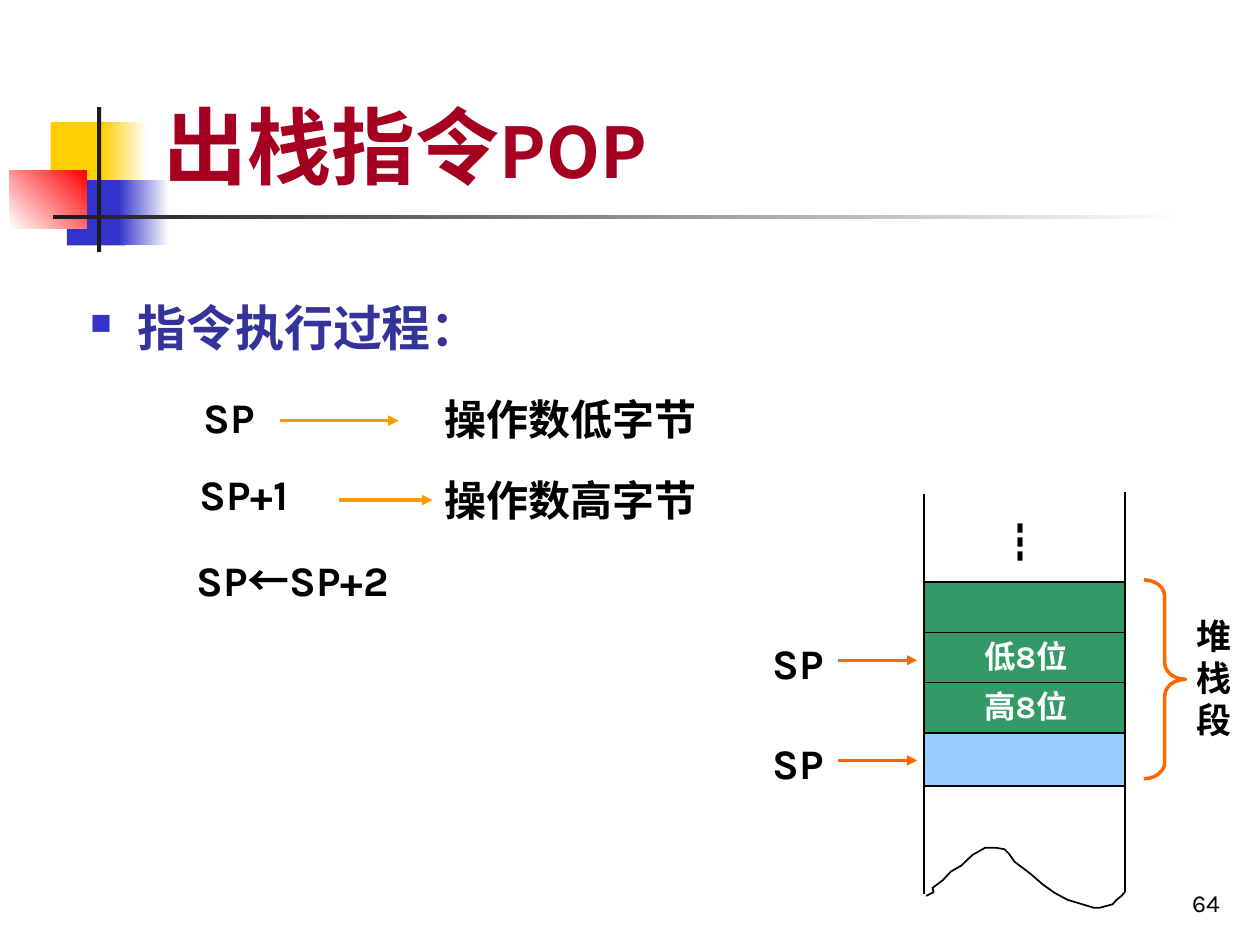
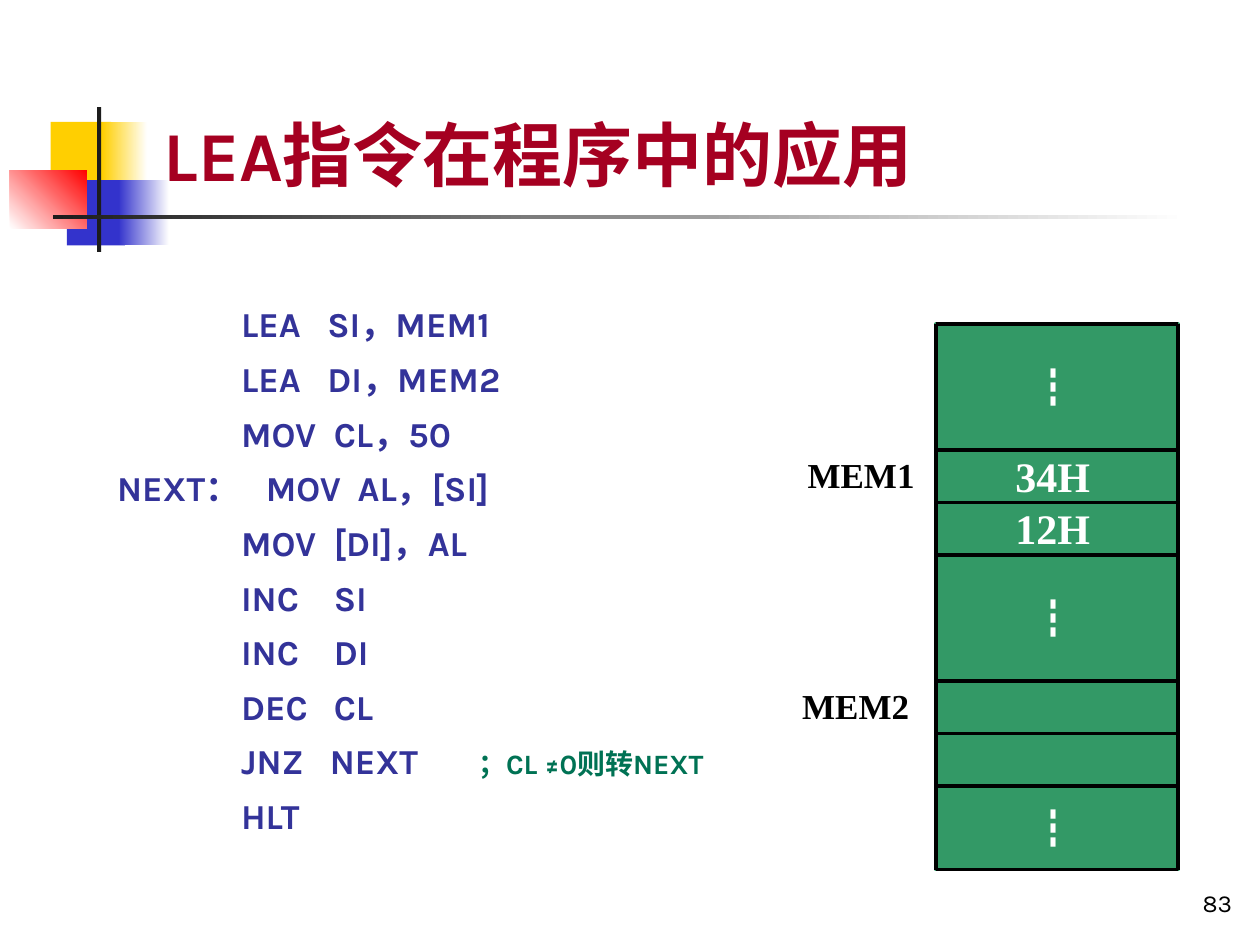
from collections import namedtuple
from itertools import accumulate

from lxml.etree import SubElement
from pptx import Presentation
from pptx.dml.color import RGBColor
from pptx.enum.shapes import MSO_CONNECTOR as LINE, MSO_SHAPE as SHAPE
from pptx.enum.text import MSO_ANCHOR as ANCHOR, MSO_AUTO_SIZE as FIT, PP_ALIGN as ALIGN
from pptx.oxml.ns import qn
from pptx.util import Cm, Pt

BLACK = RGBColor(0x00, 0x00, 0x00)
WHITE = RGBColor(0xFF, 0xFF, 0xFF)
INK = RGBColor(0x1C, 0x1C, 0x1C)
YELLOW = RGBColor(0xFF, 0xCF, 0x01)
BLUE = RGBColor(0x33, 0x33, 0xCC)
RED = RGBColor(0xFF, 0x00, 0x00)
TITLE_RED = RGBColor(0xA5, 0x00, 0x21)
BODY_BLUE = RGBColor(0x33, 0x33, 0x99)
COMMENT_GREEN = RGBColor(0x00, 0x72, 0x54)
CELL_GREEN = RGBColor(0x33, 0x99, 0x66)
CELL_BLUE = RGBColor(0x99, 0xCC, 0xFF)
AMBER = RGBColor(0xFF, 0x99, 0x00)
ORANGE = RGBColor(0xFF, 0x66, 0x00)

KARLA, NOTO, TIMES = "Karla", "Noto Sans CJK SC", "Times New Roman"
DOTS = "┇"

# All lengths are centimetres
Box = namedtuple("Box", "x y w h")


# ---- Shared helpers ----
def style_run(run, font, size, color, bold=True):
    run.font.name = font
    run.font.size = Pt(size)
    run.font.bold = bold
    run.font.color.rgb = color
    SubElement(run._r.get_or_add_rPr(), qn("a:ea")).set("typeface", NOTO)


def add_run(paragraph, words, font, size, color):
    run = paragraph.add_run()
    run.text = words
    style_run(run, font, size, color)


def text_box(slide, box):
    frame = slide.shapes.add_textbox(*map(Cm, box)).text_frame
    frame.word_wrap = True
    return frame


def label(slide, box, words, font=KARLA, size=24, color=BLACK, bold=True):
    frame = text_box(slide, box)
    frame.auto_size = FIT.SHAPE_TO_FIT_TEXT
    frame.text = words
    style_run(frame.paragraphs[0].runs[0], font, size, color, bold)
    return frame


def dots(slide, x, y, color):
    label(slide, Box(x, y, 1.7, 1.27), DOTS, NOTO, 24, color, bold=False)


def rect(slide, box, fill, fade_to=None, angle=0, line=None, width=1):
    shape = slide.shapes.add_shape(SHAPE.RECTANGLE, *map(Cm, box))
    shape.shadow.inherit = False
    if fade_to is None:
        shape.fill.solid()
        shape.fill.fore_color.rgb = fill
    else:
        shape.fill.gradient()
        shape.fill.gradient_angle = angle
        for stop, color in zip(shape.fill.gradient_stops, (fill, fade_to)):
            stop.color.rgb = color
    if line is None:
        shape.line.fill.background()
    else:
        shape.line.color.rgb = line
        shape.line.width = Pt(width)


def rule(slide, x1, y1, x2, y2, color=BLACK, width=1, arrow=False):
    line = slide.shapes.add_connector(LINE.STRAIGHT, *map(Cm, (x1, y1, x2, y2)))
    line.line.color.rgb = color
    line.line.width = Pt(width)
    SubElement(line._element.spPr, qn("a:effectLst"))
    if arrow:
        SubElement(line.line._get_or_add_ln(), qn("a:tailEnd")).set("type", "triangle")


# ---- Parts found on every slide ----
def decoration(slide, box):
    x, y = box.x, box.y
    rect(slide, Box(x + 0.82, y + 0.3, 1.22, 1.32), YELLOW)
    rect(slide, Box(x + 1.86, y + 0.3, 0.91, 1.32), YELLOW, WHITE)
    rect(slide, Box(x + 1.15, y + 1.47, 1.17, 1.32), BLUE)
    rect(slide, Box(x + 2.19, y + 1.47, 1.02, 1.32), BLUE, WHITE)
    rect(slide, Box(x, y + 1.27, 1.55, 1.17), WHITE, RED, angle=45)
    rect(slide, Box(x + 1.76, y, 0.08, box.h), INK)
    rect(slide, Box(x + 0.87, y + 2.18, box.w - 0.87, 0.08), INK, WHITE)


def base_slide(deck, title_parts, page, page_x):
    slide = deck.slides.add_slide(deck.slide_layouts[6])
    decoration(slide, Box(0.2, 2.16, 23.73, 2.92))

    title = text_box(slide, Box(3.05, 0, 21.64, 4.06))
    title.vertical_anchor = ANCHOR.BOTTOM
    for words, font, size in title_parts:
        add_run(title.paragraphs[0], words, font, size, TITLE_RED)

    number = text_box(slide, Box(page_x, 17.35, 5.28, 1.27))
    number.vertical_anchor = ANCHOR.BOTTOM
    number.text = page
    number.paragraphs[0].alignment = ALIGN.RIGHT
    style_run(number.paragraphs[0].runs[0], KARLA, 14, BLACK, bold=False)
    return slide


# ---- POP slide ----
def bullet_heading(slide, box, words):
    frame = text_box(slide, box)
    frame.text = words
    paragraph = frame.paragraphs[0]
    paragraph.alignment = ALIGN.JUSTIFY
    paragraph.line_spacing = 1.2
    paragraph.space_before = Pt(6)
    paragraph.space_after = Pt(8)
    props = paragraph._p.get_or_add_pPr()
    props.set("marL", str(Cm(0.95)))
    props.set("indent", str(-Cm(0.95)))
    SubElement(SubElement(props, qn("a:buClr")), qn("a:srgbClr")).set("val", str(BLUE))
    SubElement(props, qn("a:buSzPct")).set("val", "60000")
    SubElement(props, qn("a:buChar")).set("char", "■")
    style_run(paragraph.runs[0], NOTO, 28, BODY_BLUE)


def pop_steps(slide, box):
    x, y = box.x, box.y
    # Pointer, its place, arrow span, arrow height, operand and its height
    steps = [
        ("SP", 0.14, 0, 1.8, (1.94, 4.33), 0.71, "操作数低字节", 0.03),
        ("SP+1", 0.06, 1.55, 3.15, (3.13, 5.01), 2.31, "操作数高字节", 1.68),
    ]
    for pointer, left, top, width, (start, end), arrow_y, operand, operand_y in steps:
        label(slide, Box(x + left, y + top, width, 1.27), pointer)
        rule(slide, x + start, y + arrow_y, x + end, y + arrow_y, AMBER, 2, arrow=True)
        label(slide, Box(x + 5.01, y + operand_y, 8.2, 1.3), operand, NOTO)

    update = label(slide, Box(x, y + 3.28, 7, 1.3), "SP").paragraphs[0]
    add_run(update, "←", NOTO, 24, BLACK)
    add_run(update, "SP+2", KARLA, 24, BLACK)


def torn_edge(slide, x, y):
    points = [(0.05, 0.97), (0.2, 0.9), (0.18, 0.81), (0.38, 0.66), (0.55, 0.48),
              (0.76, 0.36), (0.98, 0.15), (1.24, 0), (1.45, 0), (1.63, 0.03),
              (1.72, 0.12), (1.83, 0.28), (2.16, 0.53), (2.4, 0.74), (2.64, 0.91),
              (2.9, 1.05), (3.2, 1.14), (3.43, 1.21), (3.55, 1.21), (3.81, 1.14),
              (3.89, 1.05), (3.99, 0.97), (4.06, 0.89)]
    start, *rest = [(Cm(x + dx), Cm(y + dy)) for dx, dy in points]
    outline = slide.shapes.build_freeform(*start)
    outline.add_line_segments(rest, close=False)
    edge = outline.convert_to_shape()
    edge.shadow.inherit = False
    edge.fill.background()
    edge.line.color.rgb = BLACK
    edge.line.width = Pt(1)


def stack_diagram(slide, box):
    x, y, right = box.x, box.y, box.x + box.w
    pitch, first = 1.01, y + 1.83

    # Cells and the pointers to two of them
    cells = [("", CELL_GREEN, False), ("低8位", CELL_GREEN, True),
             ("高8位", CELL_GREEN, False), ("", CELL_BLUE, True)]
    for row, (words, fill, pointed) in enumerate(cells):
        top = first + row * pitch
        rect(slide, Box(x, top, box.w, 1.07), fill, line=BLACK)
        if words:
            label(slide, Box(x + 0.97, top - 0.03, 2.6, 1.02), words, size=18, color=WHITE)
        if pointed:
            label(slide, Box(x - 3.3, top - 0.03, 2.3, 1.27), "SP")
            rule(slide, x - 1.73, top + 0.56, x - 0.13, top + 0.56, ORANGE, 1.75, arrow=True)

    # Open sides, torn bottom and continuation dots
    rule(slide, x, y + 0.05, x, y + 8.12)
    rule(slide, right, y, right, y + 8.07)
    torn_edge(slide, x, y + 7.18)
    dots(slide, x + 1.27, y + 0.38, BLACK)

    # Brace naming the segment
    brace = slide.shapes.add_shape(
        SHAPE.RIGHT_BRACE, Cm(right + 0.38), Cm(first - 0.05), Cm(0.84), Cm(4.01))
    brace.adjustments[0] = 0.396
    brace.shadow.inherit = False
    brace.fill.background()
    brace.line.color.rgb = ORANGE
    brace.line.width = Pt(2)
    label(slide, Box(right + 1.2, first + 0.53, 1.27, 2.79), "堆栈段", TIMES, 20)


def pop_slide(deck):
    slide = base_slide(deck, [("出栈指令", NOTO, 48), ("POP", NOTO, 40)], "64", 19.56)
    bullet_heading(slide, Box(1.57, 5.64, 14.78, 2.16), "指令执行过程：")
    pop_steps(slide, Box(3.71, 7.77, 13.2, 4.6))
    stack_diagram(slide, Box(18.62, 9.91, 4.06, 8.43))


# ---- LEA slide ----
def program_listing(slide, box):
    # Label, mnemonic, operands, comment, then the tab stops of the line
    lines = [
        ("", "LEA", "SI，MEM1", "", (2.5, 4.24)),
        ("", "LEA", "DI，MEM2", "", (2.5, 4.24)),
        ("", "MOV", "CL，50", "", (2.5, 4.37)),
        ("NEXT：", "MOV", "AL，[SI]", "", (3, 4.85)),
        ("", "MOV", "[DI]，AL", "", (2.5, 4.37)),
        ("", "INC", "SI", "", (2.5, 4.37)),
        ("", "INC", "DI", "", (2.5, 4.37)),
        ("", "DEC", "CL", "", (2.5, 4.37)),
        ("", "JNZ", "NEXT", "；CL ≠0则转NEXT", (2.5, 4.29, 7.28)),
        ("", "HLT", "", "", (2.5,)),
    ]
    frame = text_box(slide, box)
    for number, (tag, mnemonic, operands, comment, stops) in enumerate(lines):
        paragraph = frame.add_paragraph() if number else frame.paragraphs[0]
        paragraph.line_spacing = 1.05
        paragraph.space_before = Pt(6)
        tabs = SubElement(paragraph._p.get_or_add_pPr(), qn("a:tabLst"))
        for stop in stops:
            SubElement(tabs, qn("a:tab"), pos=str(Cm(stop)), algn="l")
        code = "\t".join([tag, mnemonic] + [part for part in (operands,) if part])
        add_run(paragraph, code + ("\t" if comment else ""), KARLA, 20, BODY_BLUE)
        if comment:
            add_run(paragraph, comment, KARLA, 16, COMMENT_GREEN)


def memory_map(slide, box):
    x, y, right, bottom = box.x, box.y, box.x + box.w, box.y + box.h
    tall, short, last = 2.54, 1.06, 1.68
    edges = list(accumulate([y, tall, short, short, tall, short, short, last]))

    # Column and its grid
    rect(slide, box, CELL_GREEN, line=CELL_GREEN, width=2)
    for side in (x, right):
        rule(slide, side, y, side, bottom, width=2)
    for edge in edges:
        rule(slide, x, edge, right, edge, width=2)

    # Contents and addresses
    for row, drop in ((0, 0.64), (3, 0.62), (6, 0.21)):
        dots(slide, x + 1.7, edges[row] + drop, WHITE)
    for row, value in ((1, "34H"), (2, "12H")):
        label(slide, Box(x + 1.35, edges[row] - 0.12, 2.11, 1.27), value, TIMES, 24, WHITE)
    for row, address, reach in ((1, "MEM1", 2.84), (4, "MEM2", 2.95)):
        label(slide, Box(x - reach, edges[row] - 0.05, 2.85, 1.09), address, TIMES, 20)


def lea_slide(deck):
    slide = base_slide(deck, [("LEA", KARLA, 40), ("指令在程序中的应用", NOTO, 40)], "83", 19.81)
    program_listing(slide, Box(2.11, 5.94, 14.81, 11.99))
    memory_map(slide, Box(18.87, 6.53, 4.88, 11))


def main():
    deck = Presentation()
    deck.slide_width, deck.slide_height = Cm(25.4), Cm(19.05)
    pop_slide(deck)
    lea_slide(deck)
    deck.save("out.pptx")


if __name__ == "__main__":
    main()
